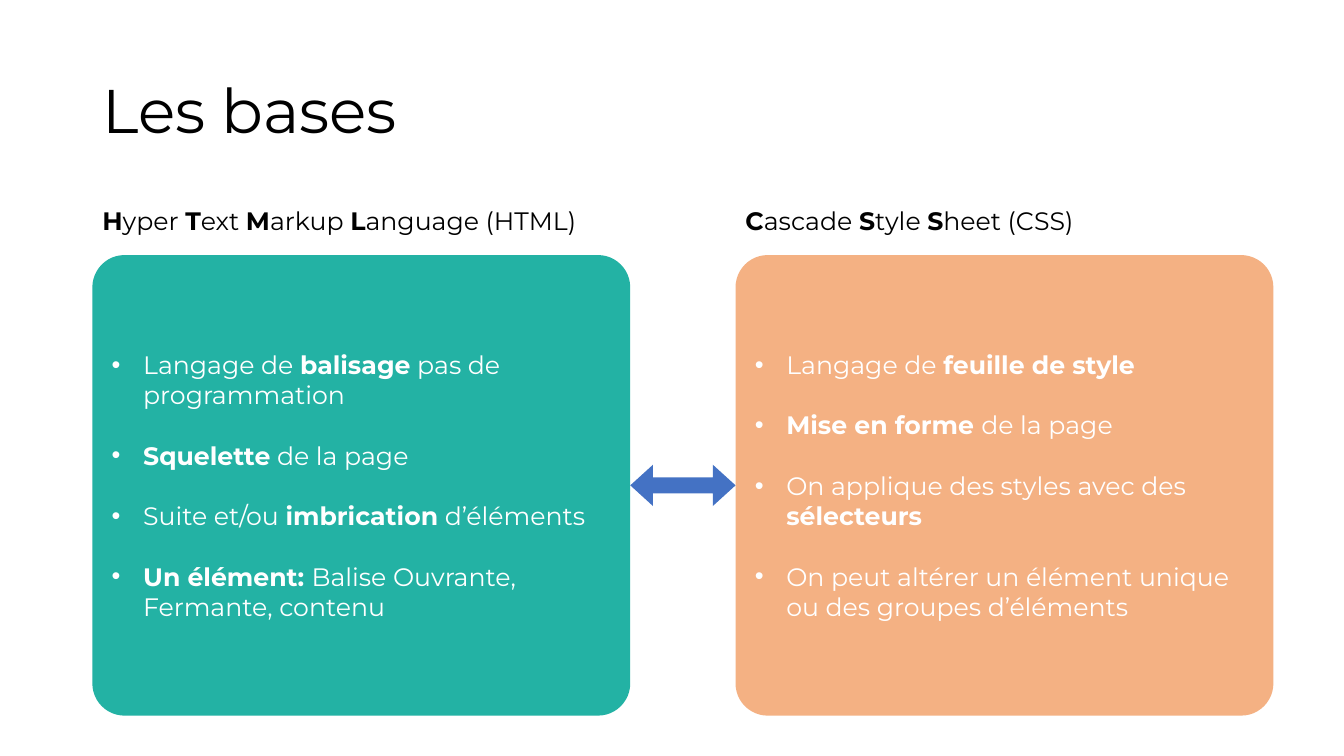
import pptx
import pptx.util
import pptx.dml.color
import pptx.enum.shapes
import pptx.enum.text
import lxml.etree

Pt = pptx.util.Pt
RGBColor = pptx.dml.color.RGBColor
SHAPE = pptx.enum.shapes.MSO_SHAPE
ANCHOR = pptx.enum.text.MSO_ANCHOR
ALIGN = pptx.enum.text.PP_ALIGN

BLACK = RGBColor(0x00, 0x00, 0x00)
WHITE = RGBColor(0xFF, 0xFF, 0xFF)
TEAL = RGBColor(0x23, 0xB2, 0xA4)
PEACH = RGBColor(0xF4, 0xB1, 0x83)
BLUE = RGBColor(0x44, 0x72, 0xC4)

TITLE = "Les bases"
LANGUAGES = [
    {
        "heading": "*H*yper *T*ext *M*arkup *L*anguage (HTML)",
        "fill": TEAL,
        "points": [
            "Langage de *balisage* pas de programmation",
            "*Squelette* de la page",
            "Suite et/ou *imbrication* d’éléments",
            "*Un élément: *Balise Ouvrante, Fermante, contenu",
        ],
    },
    {
        "heading": "*C*ascade *S*tyle *S*heet (CSS)",
        "fill": PEACH,
        "points": [
            "Langage de *feuille de style*",
            "*Mise en forme *de la page",
            "On applique des styles avec des *sélecteurs*",
            "On peut altérer un élément unique ou des groupes d’éléments",
        ],
    },
]

LEFT, CARD_WIDTH, GAP = 66, 384.2, 75.2
HEADING_TOP, HEADING_HEIGHT = 143.3, 29
CARD_TOP, CARD_HEIGHT = 182.2, 329
ARROW_HEIGHT = 29.5
INDENT, POINT_GAP = 22.5, 21.6


def write_spans(para, text, size, color):
    for index, part in enumerate(text.split("*")):
        if part:
            span = para.add_run()
            span.text = part
            span.font.color.rgb = color
            style = {"name": "Montserrat", "size": Pt(size), "bold": index % 2 == 1}
            for name, value in style.items():
                setattr(span.font, name, value)


def add_bullet(para):
    properties = para._p.get_or_add_pPr()
    properties.set("marL", str(Pt(INDENT)))
    properties.set("indent", str(-Pt(INDENT)))
    for tag, key, value in (("buFont", "typeface", "Arial"), ("buChar", "char", "•")):
        mark = lxml.etree.SubElement(properties, pptx.oxml.ns.qn("a:" + tag))
        mark.set(key, value)


def add_plain_shape(page, kind, place, fill, adjustments):
    shape = page.shapes.add_shape(kind, *map(Pt, place))
    shape.shadow.inherit = False
    shape.fill.solid()
    shape.fill.fore_color.rgb = fill
    shape.line.fill.background()
    for index, value in enumerate(adjustments):
        shape.adjustments[index] = value
    return shape


def add_title(page):
    title = page.shapes.title
    place = {"left": Pt(LEFT), "top": Pt(28.75), "width": Pt(828), "height": Pt(104.4)}
    for name, value in place.items():
        setattr(title, name, value)
    title.text_frame.vertical_anchor = ANCHOR.MIDDLE
    para = title.text_frame.paragraphs[0]
    para.alignment = ALIGN.LEFT
    para.line_spacing = 0.9
    write_spans(para, TITLE, 44, BLACK)


def add_language(page, language, left):
    heading = page.shapes.add_textbox(
        Pt(left), Pt(HEADING_TOP), Pt(CARD_WIDTH), Pt(HEADING_HEIGHT)
    )
    heading.text_frame.word_wrap = True
    write_spans(heading.text_frame.paragraphs[0], language["heading"], 18, BLACK)

    place = (left, CARD_TOP, CARD_WIDTH, CARD_HEIGHT)
    card = add_plain_shape(page, SHAPE.ROUNDED_RECTANGLE, place, language["fill"], [0.07])
    frame = card.text_frame
    frame.word_wrap = True
    frame.vertical_anchor = ANCHOR.MIDDLE
    for index, point in enumerate(language["points"]):
        para = frame.add_paragraph() if index else frame.paragraphs[0]
        para.alignment = ALIGN.LEFT
        para.space_before = Pt(POINT_GAP if index else 0)
        add_bullet(para)
        write_spans(para, point, 18, WHITE)


def main():
    deck = pptx.Presentation()
    deck.slide_width, deck.slide_height = Pt(960), Pt(540)
    page = deck.slides.add_slide(deck.slide_layouts[5])
    add_title(page)
    for index, language in enumerate(LANGUAGES):
        add_language(page, language, LEFT + index * (CARD_WIDTH + GAP))
    arrow_top = CARD_TOP + (CARD_HEIGHT - ARROW_HEIGHT) / 2
    place = (LEFT + CARD_WIDTH, arrow_top, GAP, ARROW_HEIGHT)
    add_plain_shape(page, SHAPE.LEFT_RIGHT_ARROW, place, BLUE, [0.39, 0.55])
    deck.save("out.pptx")


if __name__ == "__main__":
    main()
